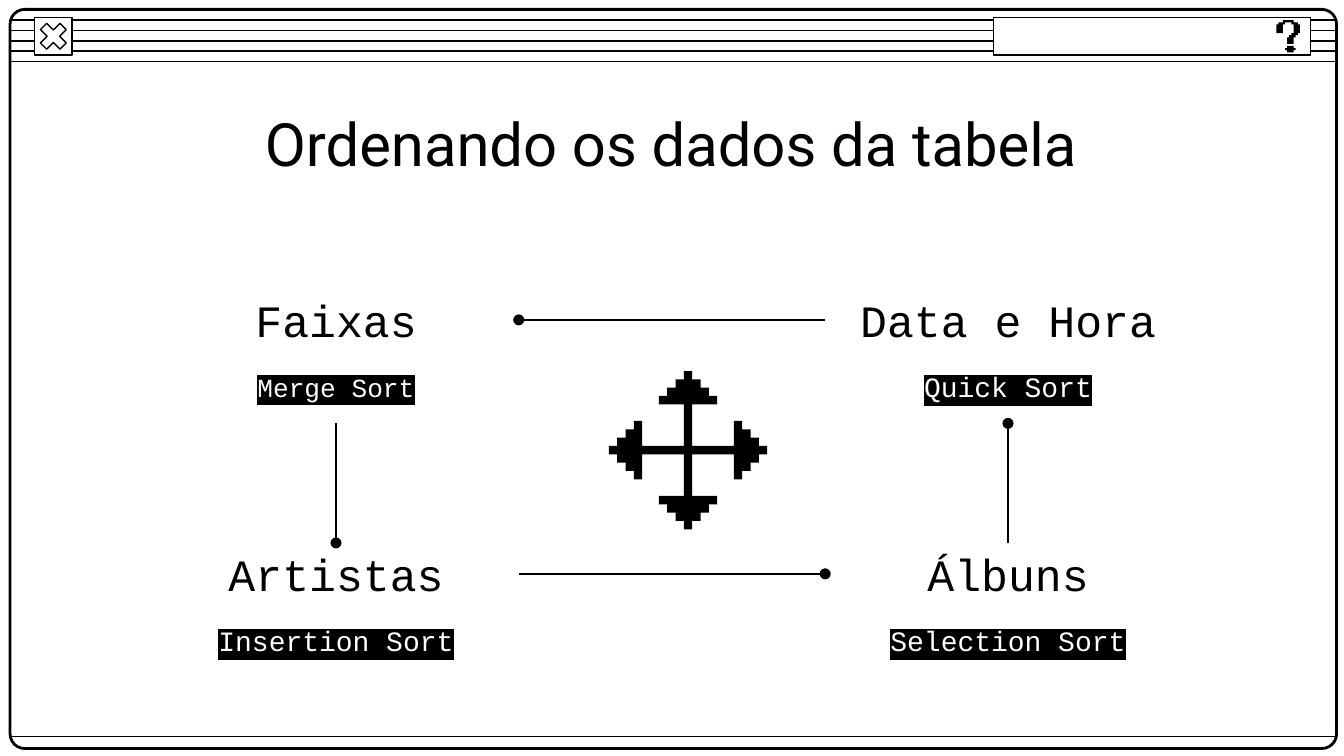
from lxml import etree
from pptx import Presentation
from pptx import util as u
from pptx.dml.color import RGBColor
from pptx.enum import shapes, text
from pptx.oxml.ns import qn

WIDE = u.Inches(10)
HIGH = WIDE * 9 // 16
BLACK, WHITE = "000000", "FFFFFF"
MONO = "Courier New"
THIN = 0.74
KIND = shapes.MSO_SHAPE


def unit(*nums):
    """Turn hundredths of the slide's width into lengths."""
    return [round(WIDE * n / 100) for n in nums]


def paint(part, hue):
    """Colour a fill, a line's fill or None for an empty fill."""
    if hue is None:
        part.background()
    else:
        part.solid()
        part.fore_color.rgb = RGBColor.from_string(hue)


def shape(slide, kind, spot, fill=WHITE, wide=THIN, bend=None):
    """Add an outlined preset shape."""
    item = slide.shapes.add_shape(kind, *unit(*spot))
    item.shadow.inherit = False
    paint(item.fill, fill)
    paint(item.line.fill, BLACK)
    item.line.width = u.Pt(wide)
    if bend is not None:
        item.adjustments[0] = bend
    return item


def line(slide, start, end, dot=False):
    """Add a thin line, with a dot at its end if asked."""
    item = slide.shapes.add_connector(
        shapes.MSO_CONNECTOR.STRAIGHT, *unit(*start, *end))
    paint(item.line.fill, BLACK)
    item.line.width = u.Pt(THIN)
    if dot:
        etree.SubElement(item.line._get_or_add_ln(), qn("a:tailEnd"), type="oval")
    etree.SubElement(item._element.spPr, qn("a:effectLst"))


def pixel(slide, left, top, cell, dots):
    """Draw a black outline from points counted in cells."""
    pts = [unit(left + x * cell, top + y * cell) for x, y in dots]
    build = slide.shapes.build_freeform(*pts[0])
    build.add_line_segments(pts[1:], close=True)
    item = build.convert_to_shape()
    item.shadow.inherit = False
    paint(item.fill, BLACK)
    paint(item.line.fill, None)


def write(item, words, size, face, hue=BLACK, back=None):
    """Write one centred paragraph, highlighted if asked."""
    frame = item.text_frame
    frame.word_wrap = True
    frame.vertical_anchor = text.MSO_ANCHOR.MIDDLE
    frame.margin_left = frame.margin_right = u.Inches(0.1)
    frame.margin_top = frame.margin_bottom = u.Inches(0.1)
    para = frame.paragraphs[0]
    para.alignment = text.PP_ALIGN.CENTER
    run = para.add_run()
    run.text = words
    para.font.size, para.font.name = u.Pt(size), face
    paint(para.font.fill, hue)
    if back:
        paint(run.font.fill, hue)
        mark = etree.SubElement(run._r.get_or_add_rPr(), qn("a:highlight"))
        etree.SubElement(mark, qn("a:srgbClr"), val=back)


def label(slide, spot, *look):
    """Add a text box with the given words and look."""
    write(slide.shapes.add_textbox(*unit(*spot)), *look)


def steps(*turns):
    """List corners from a start and then x, y, x, y in turn."""
    x, y = turns[:2]
    dots = [(x, y)]
    for i, n in enumerate(turns[2:]):
        x, y = (x, n) if i % 2 else (n, y)
        dots.append((x, y))
    return dots


def cross():
    """Give the four-way arrow as one arm turned four times."""
    half = [(-0.5, -0.5), (-0.5, -5.5), (-3.5, -5.5)]
    half += steps(-3.5, -6.5, -2.5, -7.5, -1.5, -8.5, -0.5, -9.5)
    arm = half + [(-x, y) for x, y in half[:0:-1]]
    dots = []
    for _ in range(4):
        dots += arm
        arm = [(-y, x) for x, y in arm]
    return dots


def window(slide):
    """Draw the frame, its title bar and its buttons."""
    for i in range(5):
        y = 1.5 + 0.77 * i
        line(slide, (0.8, y), (99.5, y))
    shape(slide, KIND.ROUNDED_RECTANGLE, (0.75, 0.7, 98.7, 55), None, 1.5, 0.02)
    shape(slide, KIND.RECTANGLE, (2.57, 1.3, 2.8, 2.8))
    shape(slide, KIND.MATH_MULTIPLY, (2.57, 1.3, 2.8, 2.8), bend=0.235)
    line(slide, (0.8, 54.8), (99.5, 54.8))
    shape(slide, KIND.RECTANGLE, (73.92, 1.3, 23.6, 2.8))
    hook = steps(3, 0, 3, 1, 1, 2, 0, 6, 3, 2, 4, 1, 7, 2, 8, 6, 7, 7,
                 6, 8, 5, 11, 8, 8, 9, 7, 10, 6, 11, 2, 10, 1, 8, 0)
    dot = steps(5, 12, 5, 13, 4, 14, 5, 15, 8, 14, 9, 13, 8, 12)
    for part in (hook, dot):
        pixel(slide, 94.97, 1.5, 0.16, part)


def main():
    """Build and save the slide."""
    deck = Presentation()
    deck.slide_width, deck.slide_height = WIDE, HIGH
    slide = deck.slides.add_slide(deck.slide_layouts[5])
    window(slide)

    title = slide.shapes.title
    title.left, title.top, title.width, title.height = unit(3.9, 7.5, 92.1, 6.3)
    write(title, "Ordenando os dados da tabela", 32, "Roboto")

    cols, rows, wide = (11.4, 61.4), (21.45, 40.35), 27.2
    sorts = [
        [("Faixas", "Merge Sort", 14), ("Data e Hora", "Quick Sort", 15)],
        [("Artistas", "Insertion Sort", 15), ("Álbuns", "Selection Sort", 15)],
    ]
    for top, pairs in zip(rows, sorts):
        for left, (name, sort, size) in zip(cols, pairs):
            label(slide, (left, top, wide, 4.7), name, 24, MONO)
            label(slide, (left, top + 4.63, wide, 5.4), sort, size, MONO,
                  WHITE, BLACK)

    west, east = (x + wide / 2 for x in cols)
    inner, outer = cols[0] + wide, cols[1]
    high, low = (y + 2.35 for y in rows)
    upper, lower = rows[0] + 10.05, rows[1] + 0.05
    line(slide, (east, lower), (east, upper), True)
    line(slide, (outer, high), (inner, high), True)
    line(slide, (west, upper), (west, lower), True)
    line(slide, (inner, low), (outer, low), True)
    pixel(slide, 51.2, 33.5, 0.62, cross())
    deck.save("out.pptx")


main()
